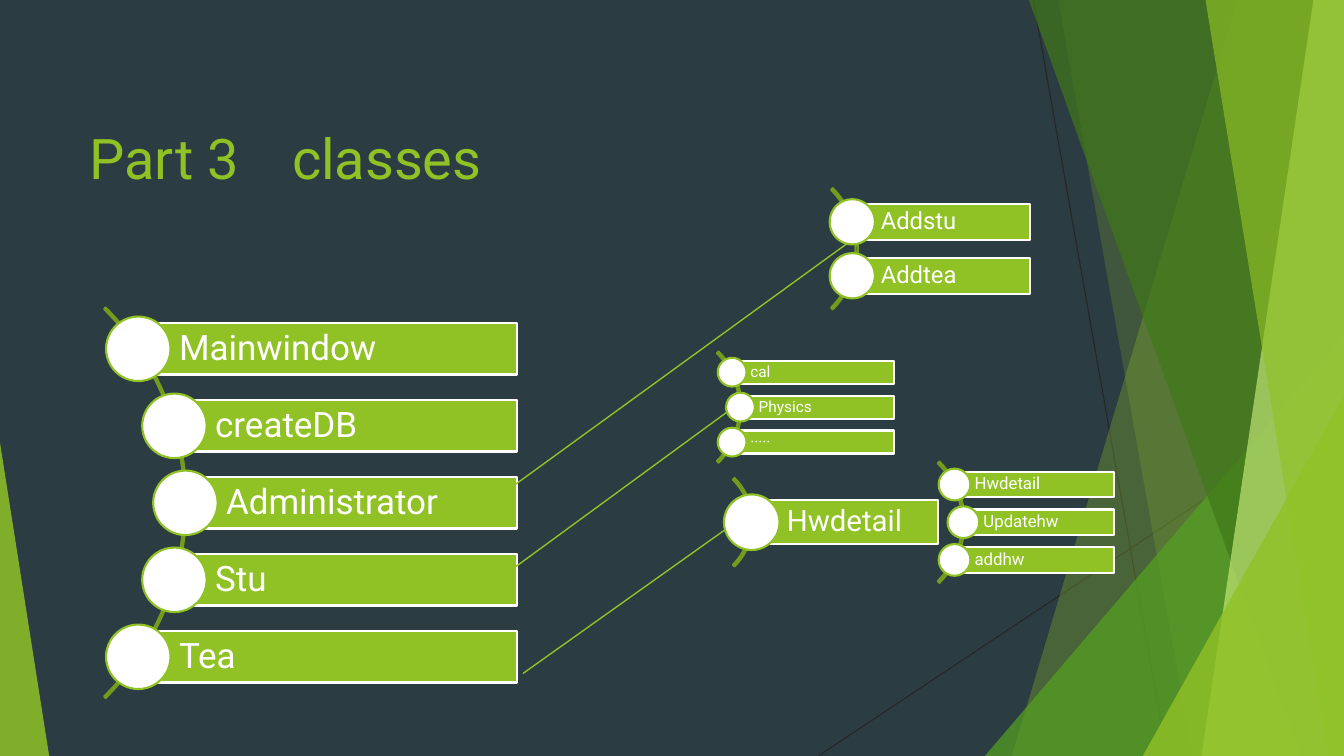
from dataclasses import dataclass
from math import sqrt

from lxml import etree
from pptx import Presentation
from pptx.dml.color import RGBColor
from pptx.enum.shapes import MSO_CONNECTOR, MSO_SHAPE
from pptx.enum.text import MSO_ANCHOR, PP_ALIGN
from pptx.oxml.ns import qn
from pptx.util import Cm, Pt

STRAIGHT = MSO_CONNECTOR.STRAIGHT
ARC, BAR, DOT = MSO_SHAPE.BLOCK_ARC, MSO_SHAPE.RECTANGLE, MSO_SHAPE.OVAL
TRIANGLE = MSO_SHAPE.ISOSCELES_TRIANGLE
LEFT = PP_ALIGN.LEFT
MIDDLE, BOTTOM = MSO_ANCHOR.MIDDLE, MSO_ANCHOR.BOTTOM

WIDTH, HEIGHT = 33.87, 19.05
FONT = "Roboto"
GREEN, WHITE, ARC_GREEN = "90C226", "FFFFFF", "739B1E"
BACKGROUND, HAIRLINE = "2C3C43", "262626"


@dataclass(frozen=True)
class Line:
    start: tuple[float, float]
    end: tuple[float, float]


@dataclass(frozen=True)
class Band:
    """A facet reaching from a slanted left edge to the right of the slide."""
    top_x: float
    bottom_x: float
    color: str
    opacity: int


@dataclass(frozen=True)
class Wedge:
    """A triangle standing on the bottom of the slide, its tip at one side."""
    left: float
    top: float
    width: float
    tip: int
    color: str
    opacity: int


@dataclass(frozen=True)
class Cluster:
    """Labelled bars whose dots sit on an arc; ring is its relative thickness."""
    center: tuple[float, float]
    diameter: float
    ring: float
    right: float
    pitch: float
    bar_height: float
    text_size: int
    names: tuple[str, ...]
    link: Line | None = None


FACET_LINES = (
    Line((26.04, 0), (29.41, HEIGHT)),
    Line((WIDTH, 10.24), (20.62, HEIGHT)),
)
FACETS = (
    Band(31.19, 25.5, GREEN, 30),
    Band(26.67, 30.05, GREEN, 20),
    Wedge(24.82, 8.46, 9.05, 1, "54A021", 72),
    Band(25.93, 32.79, "3F7819", 70),
    Band(33.1, 30.28, "C0E474", 70),
    Band(30.38, 33.48, GREEN, 65),
    Wedge(28.8, 9.98, 5.07, 1, GREEN, 80),
    Wedge(0, 11.15, 1.24, 0, GREEN, 85),
)
CLUSTERS = (
    Cluster((-2.26, 12.67), 13.92, 0.004, 13.03, 1.94, 1.3, 25,
            ("Mainwindow", "createDB", "Administrator", "Stu", "Tea")),
    Cluster((19.46, 6.27), 4.32, 0.014, 25.96, 1.36, 0.91, 17,
            ("Addstu", "Addtea"), Line((12.9, 12.27), (21.62, 5.94))),
    Cluster((22.15, 13.16), 4.32, 0.014, 28.07, 0.95, 0.64, 12,
            ("Hwdetail", "Updatehw", "addhw"),
            Line((12.9, 14.35), (18.49, 10.26))),
    Cluster((16.71, 10.26), 3.96, 0.015, 22.53, 0.88, 0.58, 11,
            ("cal", "Physics", "·····"), Line((13.18, 16.97), (18.72, 13.03))),
    Cluster((17.4, 13.16), 3.15, 0.019, 23.65, 0, 1.12, 21, ("Hwdetail",)),
)


def rgb(color: str) -> RGBColor:
    return RGBColor.from_string(color)


def paint(shape, fill: str | None = None, line: str | None = None,
          opacity: int = 100) -> None:
    shape.shadow.inherit = False
    if fill:
        shape.fill.solid()
        shape.fill.fore_color.rgb = rgb(fill)
        if opacity < 100:
            color = next(shape.element.iter(qn("a:srgbClr")))
            etree.SubElement(color, qn("a:alpha"), val=str(opacity * 1000))
    else:
        shape.fill.background()
    if line:
        shape.line.color.rgb = rgb(line)
        shape.line.width = Pt(1.5)
    else:
        shape.line.fill.background()


def add_preset(page, kind, left: float, top: float, width: float, height: float):
    return page.shapes.add_shape(kind, Cm(left), Cm(top), Cm(width), Cm(height))


def write(shape, text: str, *, size: int, color: str, anchor,
          left_inset: float, inset: float, spacing: float = 1) -> None:
    """Fill a shape with one left-aligned paragraph."""
    frame = shape.text_frame
    frame.word_wrap = True
    frame.vertical_anchor = anchor
    frame.margin_left = Cm(left_inset)
    frame.margin_right = frame.margin_top = frame.margin_bottom = Cm(inset)
    para = frame.paragraphs[0]
    para.alignment = LEFT
    para.line_spacing = spacing
    span = para.add_run()
    span.text = text
    span.font.name = FONT
    span.font.size = Pt(size)
    span.font.color.rgb = rgb(color)


def add_line(page, line: Line, color: str, width: float, arrow: bool = False) -> None:
    connector = page.shapes.add_connector(
        STRAIGHT, *(Cm(value) for value in line.start + line.end))
    connector.line.color.rgb = rgb(color)
    connector.line.width = Pt(width)
    if arrow:
        etree.SubElement(connector.get_or_add_ln(), qn("a:tailEnd"), type="triangle")
    etree.SubElement(connector.element.spPr, qn("a:effectLst"))


def add_facet(page, facet: Band | Wedge) -> None:
    if isinstance(facet, Band):
        corners = ((WIDTH, 0), (WIDTH, HEIGHT), (facet.bottom_x, HEIGHT))
        outline = page.shapes.build_freeform(Cm(facet.top_x), 0)
        outline.add_line_segments([(Cm(x), Cm(y)) for x, y in corners])
        shape = outline.convert_to_shape()
    else:
        shape = add_preset(page, TRIANGLE, facet.left, facet.top,
                           facet.width, HEIGHT - facet.top)
        shape.adjustments[0] = facet.tip
    paint(shape, facet.color, opacity=facet.opacity)


def add_title(page) -> None:
    box = page.shapes.add_textbox(Cm(2.01), Cm(2.29), Cm(23.88), Cm(2.64))
    write(box, "Part 3\tclasses", size=40, color=GREEN, anchor=BOTTOM,
          left_inset=0.25, inset=0.13)
    tabs = etree.SubElement(next(box.element.iter(qn("a:pPr"))), qn("a:tabLst"))
    etree.SubElement(tabs, qn("a:tab"), pos=str(int(Cm(5.1))), algn="l")


def add_cluster(page, cluster: Cluster) -> None:
    if cluster.link:
        add_line(page, cluster.link, GREEN, 1, arrow=True)
    center_x, center_y = cluster.center
    diameter, height = cluster.diameter, cluster.bar_height
    arc = add_preset(page, ARC, center_x - diameter / 2, center_y - diameter / 2,
                     diameter, diameter)
    for index, value in enumerate((189, 27, cluster.ring)):
        arc.adjustments[index] = value
    paint(arc, line=ARC_GREEN)

    radius = diameter * (1 - cluster.ring) / 2
    dot_size = 1.25 * height
    for row, name in enumerate(cluster.names):
        rise = (row - (len(cluster.names) - 1) / 2) * cluster.pitch
        x, y = center_x + sqrt(radius ** 2 - rise ** 2), center_y + rise
        bar = add_preset(page, BAR, x, y - height / 2, cluster.right - x, height)
        paint(bar, GREEN, WHITE)
        write(bar, name, size=cluster.text_size, color=WHITE, anchor=MIDDLE,
              left_inset=0.79 * height, inset=0.007 * cluster.text_size, spacing=0.9)
        dot = add_preset(page, DOT, x - dot_size / 2, y - dot_size / 2,
                         dot_size, dot_size)
        paint(dot, WHITE, GREEN)


def main() -> None:
    deck = Presentation()
    deck.slide_width, deck.slide_height = Cm(WIDTH), Cm(HEIGHT)
    page = deck.slides.add_slide(deck.slide_layouts[6])
    page.background.fill.solid()
    page.background.fill.fore_color.rgb = rgb(BACKGROUND)
    for line in FACET_LINES:
        add_line(page, line, HAIRLINE, 0.75)
    for facet in FACETS:
        add_facet(page, facet)
    add_title(page)
    for cluster in CLUSTERS:
        add_cluster(page, cluster)
    deck.save("out.pptx")


if __name__ == "__main__":
    main()
